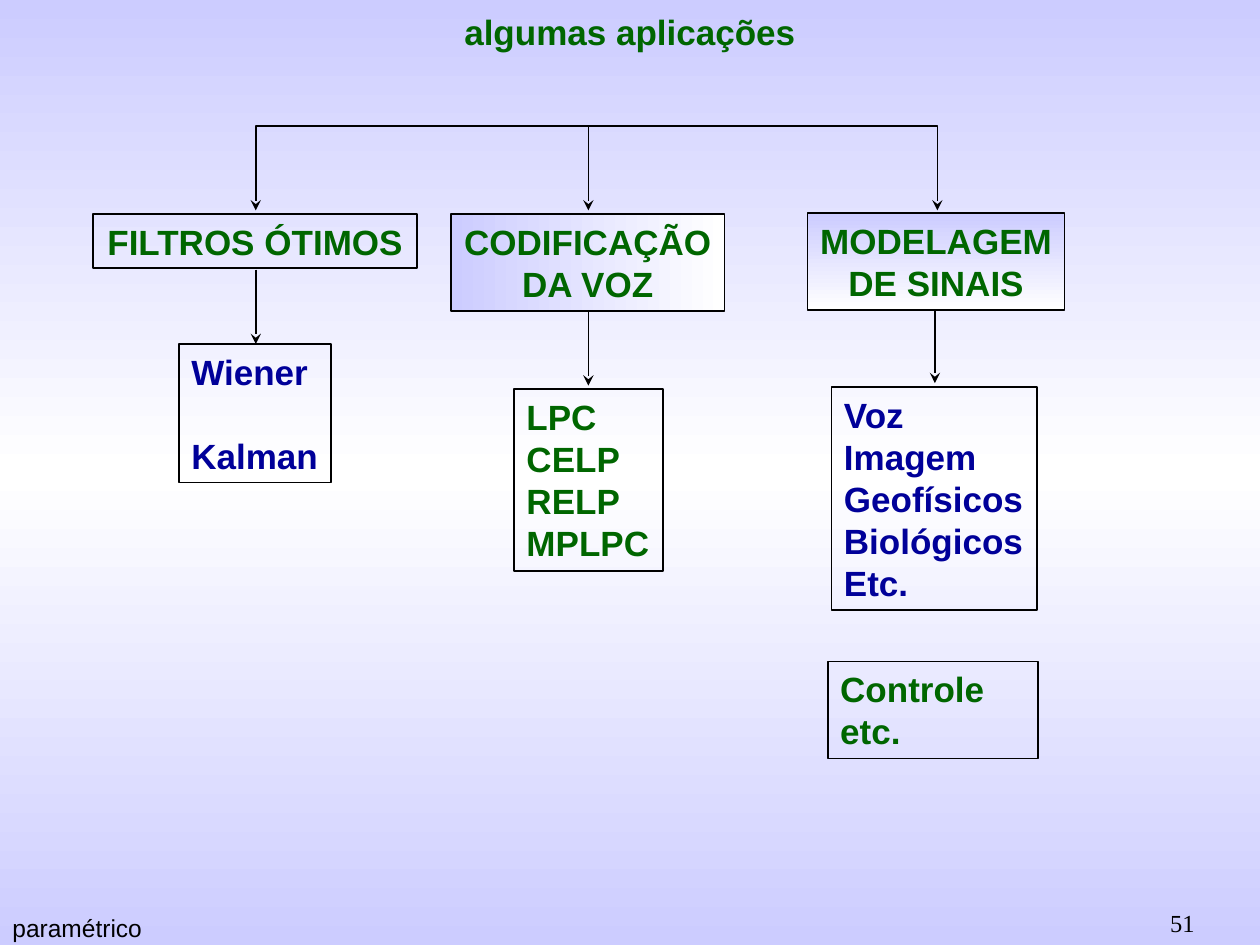
from copy import deepcopy
from dataclasses import dataclass

from lxml.etree import SubElement
from pptx import Presentation
from pptx.dml.color import RGBColor
from pptx.enum.shapes import MSO_CONNECTOR, MSO_SHAPE
from pptx.enum.text import MSO_ANCHOR, PP_ALIGN
from pptx.oxml.ns import qn
from pptx.util import Inches, Pt


@dataclass(frozen=True)
class Theme:
    lavender: RGBColor = RGBColor(0xCC, 0xCC, 0xFF)
    white: RGBColor = RGBColor(0xFF, 0xFF, 0xFF)
    black: RGBColor = RGBColor(0, 0, 0)
    green: RGBColor = RGBColor(0, 0x66, 0)
    navy: RGBColor = RGBColor(0, 0, 0x99)
    sans: str = "Arial"
    serif: str = "Times New Roman"
    body: Pt = Pt(20)
    body_line: Pt = Pt(24)
    small: Pt = Pt(14)
    outline: Pt = Pt(1)


theme = Theme()


def write(shape, text, color, size=theme.body, font=theme.sans, bold=True,
          align=PP_ALIGN.LEFT, anchor=MSO_ANCHOR.TOP, wrap=False):
    frame = shape.text_frame
    frame.text = text
    frame.word_wrap = wrap
    frame.vertical_anchor = anchor
    for paragraph in frame.paragraphs:
        paragraph.alignment = align
        if size == theme.body:
            paragraph.line_spacing = theme.body_line
        for run in paragraph.runs:
            run.font.size = size
            run.font.name = font
            run.font.bold = bold
            run.font.color.rgb = color


def style_arrow(shape, *ends):
    """Give a line its outline, its arrowheads and no shadow."""
    shape.line.color.rgb = theme.black
    shape.line.width = theme.outline
    for end in ends:
        SubElement(shape.line._get_or_add_ln(), qn(f"a:{end}"), type="stealth")
    properties = shape._element.spPr
    if properties.find(qn("a:effectLst")) is None:
        SubElement(properties, qn("a:effectLst"))


presentation = Presentation()
presentation.slide_width = Inches(10)
presentation.slide_height = Inches(7.5)
slide = presentation.slides.add_slide(presentation.slide_layouts[5])

# Background: lavender, white, lavender from top to bottom
background = slide.background.fill
background.gradient()
stop_list = slide._element.find(".//" + qn("a:gsLst"))
stop_list.append(deepcopy(stop_list[-1]))
background.gradient_angle = 270
stop_colors = (theme.lavender, theme.white, theme.lavender)
for index, (stop, color) in enumerate(zip(background.gradient_stops, stop_colors)):
    stop.position = index / 2
    stop.color.rgb = color

# Title
title = slide.shapes.title
title.left, title.top = Inches(0), Inches(-0.02)
title.width, title.height = Inches(10), Inches(0.54)
write(title, "algumas aplicações", theme.green, align=PP_ALIGN.CENTER,
      anchor=MSO_ANCHOR.MIDDLE, wrap=True)

# Footer and slide number
footer = slide.shapes.add_textbox(Inches(0), Inches(7.2), Inches(2.01), Inches(0.34))
write(footer, "paramétrico", theme.black, theme.small, bold=False, wrap=True)
number = slide.shapes.add_textbox(Inches(7.5), Inches(7.14), Inches(2.08), Inches(0.36))
write(number, "51", theme.black, theme.small, theme.serif, bold=False,
      align=PP_ALIGN.RIGHT, anchor=MSO_ANCHOR.MIDDLE, wrap=True)

# Boxes: text, left, top, width, height, colour, alignment, gradient angle
center, left = PP_ALIGN.CENTER, PP_ALIGN.LEFT
boxes = [
    ("FILTROS ÓTIMOS", 0.74, 1.7, 2.57, 0.43, theme.green, center, None),
    ("CODIFICAÇÃO\nDA VOZ", 3.58, 1.7, 2.17, 0.77, theme.green, center, 0),
    ("MODELAGEM\nDE SINAIS", 6.41, 1.69, 2.04, 0.77, theme.green, center, 270),
    ("Wiener\nKalman", 1.42, 2.73, 1.21, 1.1, theme.navy, left, None),
    ("LPC\nCELP\nRELP\nMPLPC", 4.08, 3.09, 1.18, 1.44, theme.green, left, None),
    ("Voz\nImagem\nGeofísicos\nBiológicos\nEtc.", 6.6, 3.07, 1.63, 1.77,
     theme.navy, left, None),
    ("Controle\netc.", 6.57, 5.25, 1.67, 0.77, theme.green, left, None),
]
for text, x, y, width, height, color, align, angle in boxes:
    box = slide.shapes.add_shape(MSO_SHAPE.RECTANGLE, Inches(x), Inches(y),
                                 Inches(width), Inches(height))
    box.shadow.inherit = False
    box.line.color.rgb = theme.black
    box.line.width = theme.outline
    if angle is None:
        box.fill.background()
    else:
        box.fill.gradient()
        box.fill.gradient_angle = angle
        for stop, stop_color in zip(box.fill.gradient_stops, stop_colors):
            stop.color.rgb = stop_color
    write(box, text, color, align=align, wrap=text.startswith("Controle"))
    if text.startswith("Wiener"):
        box.text_frame.paragraphs[1].space_before = theme.body_line

# Bracket over the three branches
bracket_top, bracket_bottom = Inches(1), Inches(1.67)
first_x, last_x = Inches(2.03), Inches(7.44)
builder = slide.shapes.build_freeform(first_x, bracket_bottom)
builder.add_line_segments([(first_x, bracket_top), (last_x, bracket_top),
                           (last_x, bracket_bottom)], close=False)
bracket = builder.convert_to_shape()
bracket.fill.background()
style_arrow(bracket, "headEnd", "tailEnd")

# Downward arrows: x, start, end
for x, start, end in [(4.67, 1, 1.67), (2.03, 2.14, 2.73),
                      (4.67, 2.48, 3.06), (7.42, 2.46, 3.04)]:
    arrow = slide.shapes.add_connector(MSO_CONNECTOR.STRAIGHT, Inches(x), Inches(start),
                                       Inches(x), Inches(end))
    style_arrow(arrow, "tailEnd")

presentation.save("out.pptx")
